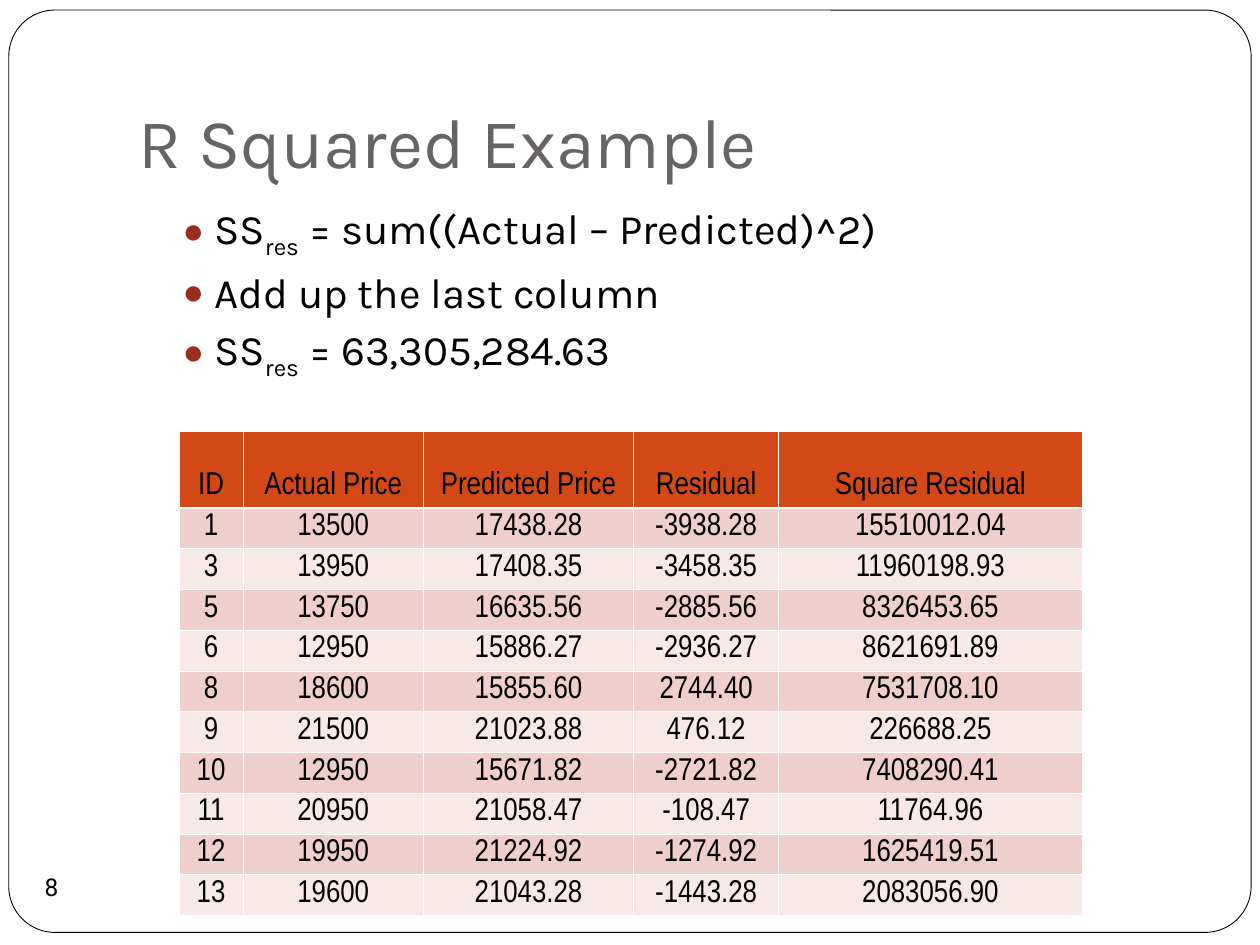
from dataclasses import dataclass

from lxml import etree
from pptx import Presentation
from pptx import util as u
from pptx.dml.color import RGBColor
from pptx.enum import shapes, text
from pptx.oxml import ns


@dataclass(frozen=True)
class Theme:
    ink: str = "000000"
    paper: str = "FFFFFF"
    heading: str = "696464"
    bullet: str = "9B2D1F"
    header_fill: str = "D34817"
    band_fills: tuple = ("EFCFCC", "F7E9E7")
    body_font: str = "Karla"
    number_font: str = "Roboto"
    table_font: str = "Arial Narrow"
    title_size: int = 40
    body_size: int = 24
    table_size: int = 18
    number_size: int = 14
    thin_line: float = 0.45
    header_line: float = 1.47


THEME = Theme()

BULLETS = [
    [("SS", False), ("res", True), (" = sum((Actual – Predicted)^2)", False)],
    [("Add up the last column", False)],
    [("SS", False), ("res", True), (" = 63,305,284.63", False)],
]
HEADERS = ["ID", "Actual Price", "Predicted Price", "Residual", "Square Residual"]
HOUSES = [
    ("1", "13500", "17438.28", "-3938.28", "15510012.04"),
    ("3", "13950", "17408.35", "-3458.35", "11960198.93"),
    ("5", "13750", "16635.56", "-2885.56", "8326453.65"),
    ("6", "12950", "15886.27", "-2936.27", "8621691.89"),
    ("8", "18600", "15855.60", "2744.40", "7531708.10"),
    ("9", "21500", "21023.88", "476.12", "226688.25"),
    ("10", "12950", "15671.82", "-2721.82", "7408290.41"),
    ("11", "20950", "21058.47", "-108.47", "11764.96"),
    ("12", "19950", "21224.92", "-1274.92", "1625419.51"),
    ("13", "19600", "21043.28", "-1443.28", "2083056.90"),
]
COLUMN_WIDTHS = [0.51, 1.43, 1.67, 1.15, 2.41]
HEADER_HEIGHT = 0.61


def apply(target, values):
    for name, value in values.items():
        setattr(target, name, value)


def place(shape, box):
    apply(shape, dict(zip(("left", "top", "width", "height"), map(u.Inches, box))))


def set_margins(target, left, top, right, bottom):
    apply(target, {
        "margin_left": u.Inches(left), "margin_top": u.Inches(top),
        "margin_right": u.Inches(right), "margin_bottom": u.Inches(bottom),
    })


def add_run(paragraph, words, font, size, color):
    run = paragraph.add_run()
    run.text = words
    apply(run.font, {"name": font, "size": u.Pt(size)})
    run.font.color.rgb = RGBColor.from_string(color)
    return run


def add_element(parent, tag, **attributes):
    return etree.SubElement(parent, ns.qn(tag), attributes)


# Page frame, behind everything else
def add_frame(slide, box):
    frame = slide.shapes.add_shape(
        shapes.MSO_SHAPE.ROUNDED_RECTANGLE, *map(u.Inches, box))
    frame.adjustments[0] = 0.05
    frame.shadow.inherit = False
    frame.fill.solid()
    frame.fill.fore_color.rgb = RGBColor.from_string(THEME.paper)
    frame.line.color.rgb = RGBColor.from_string(THEME.ink)
    frame.line.width = u.Pt(0.5)
    slide.shapes.title.element.addprevious(frame.element)


# Title
def fill_title(title, box):
    place(title, box)
    frame = title.text_frame
    apply(frame, {"vertical_anchor": text.MSO_ANCHOR.BOTTOM,
                  "auto_size": text.MSO_AUTO_SIZE.NONE, "word_wrap": True})
    set_margins(frame, 0.1, 0.05, 0.1, 0.1)
    paragraph = frame.paragraphs[0]
    paragraph.alignment = text.PP_ALIGN.LEFT
    add_run(paragraph, "R Squared Example", THEME.body_font,
            THEME.title_size, THEME.heading)


# Bulleted list
def add_bullet(paragraph):
    properties = paragraph._p.get_or_add_pPr()
    properties.set("marL", str(u.Inches(0.6)))
    properties.set("indent", str(u.Inches(-0.25)))
    color = add_element(properties, "a:buClr")
    add_element(color, "a:srgbClr", val=THEME.bullet)
    add_element(properties, "a:buSzPct", val="85000")
    add_element(properties, "a:buChar", char="●")


def fill_list(body, box):
    place(body, box)
    frame = body.text_frame
    apply(frame, {"auto_size": text.MSO_AUTO_SIZE.NONE, "word_wrap": True})
    set_margins(frame, 0.1, 0.05, 0.1, 0.05)
    for index, parts in enumerate(BULLETS):
        paragraph = frame.add_paragraph() if index else frame.paragraphs[0]
        add_bullet(paragraph)
        apply(paragraph, {"level": 1, "space_before": u.Pt(3.7 if index else 0)})
        for words, is_subscript in parts:
            run = add_run(paragraph, words, THEME.body_font,
                          THEME.body_size, THEME.ink)
            if is_subscript:
                run.font._element.set("baseline", "-25000")


# Slide number
def add_slide_number(slide, box):
    badge = slide.shapes.add_shape(shapes.MSO_SHAPE.OVAL, *map(u.Inches, box))
    badge.shadow.inherit = False
    badge.fill.background()
    badge.line.fill.background()
    frame = badge.text_frame
    apply(frame, {"vertical_anchor": text.MSO_ANCHOR.MIDDLE, "word_wrap": False})
    set_margins(frame, 0, 0, 0, 0)
    paragraph = frame.paragraphs[0]
    paragraph.alignment = text.PP_ALIGN.CENTER
    add_run(paragraph, "8", THEME.number_font, THEME.number_size, THEME.ink)


# Residual table
def set_borders(cell, widths):
    properties = cell._tc.get_or_add_tcPr()
    for index, (side, width) in enumerate(widths.items()):
        line = etree.Element(ns.qn(f"a:ln{side}"), {"w": str(u.Pt(width))})
        fill = add_element(line, "a:solidFill")
        add_element(fill, "a:srgbClr", val=THEME.paper)
        properties.insert(index, line)


def fill_cell(cell, words, row_index):
    is_header = row_index == 0
    cell.vertical_anchor = text.MSO_ANCHOR.BOTTOM
    set_margins(cell, 0.01, 0, 0.01, 0.05)
    cell.fill.solid()
    fill = THEME.header_fill if is_header else THEME.band_fills[(row_index - 1) % 2]
    cell.fill.fore_color.rgb = RGBColor.from_string(fill)
    set_borders(cell, {
        "L": THEME.thin_line, "R": THEME.thin_line,
        "T": THEME.header_line if row_index == 1 else THEME.thin_line,
        "B": THEME.header_line if is_header else THEME.thin_line,
    })
    paragraph = cell.text_frame.paragraphs[0]
    paragraph.alignment = text.PP_ALIGN.CENTER
    add_run(paragraph, words, THEME.table_font, THEME.table_size, THEME.ink)


def add_residual_table(slide, box):
    rows = [HEADERS, *HOUSES]
    table = slide.shapes.add_table(
        len(rows), len(HEADERS), *map(u.Inches, box)).table
    for column, width in zip(table.columns, COLUMN_WIDTHS):
        column.width = u.Inches(width)
    row_height = (box[3] - HEADER_HEIGHT) / len(HOUSES)
    for row_index, values in enumerate(rows):
        row = table.rows[row_index]
        row.height = u.Inches(row_height if row_index else HEADER_HEIGHT)
        for cell, words in zip(row.cells, values):
            fill_cell(cell, words, row_index)


def main():
    presentation = Presentation()
    apply(presentation, {"slide_width": u.Inches(10), "slide_height": u.Inches(7.5)})
    slide = presentation.slides.add_slide(presentation.slide_layouts[1])
    add_frame(slide, (0.07, 0.08, 9.86, 7.32))
    fill_title(slide.shapes.title, (1, 0.3, 8.5, 1.25))
    fill_list(slide.placeholders[1], (1, 1.56, 8.42, 4.58))
    add_slide_number(slide, (0.16, 6.79, 0.5, 0.5))
    add_residual_table(slide, (1.42, 3.42, 7.17, 3.85))
    presentation.save("out.pptx")


if __name__ == "__main__":
    main()
